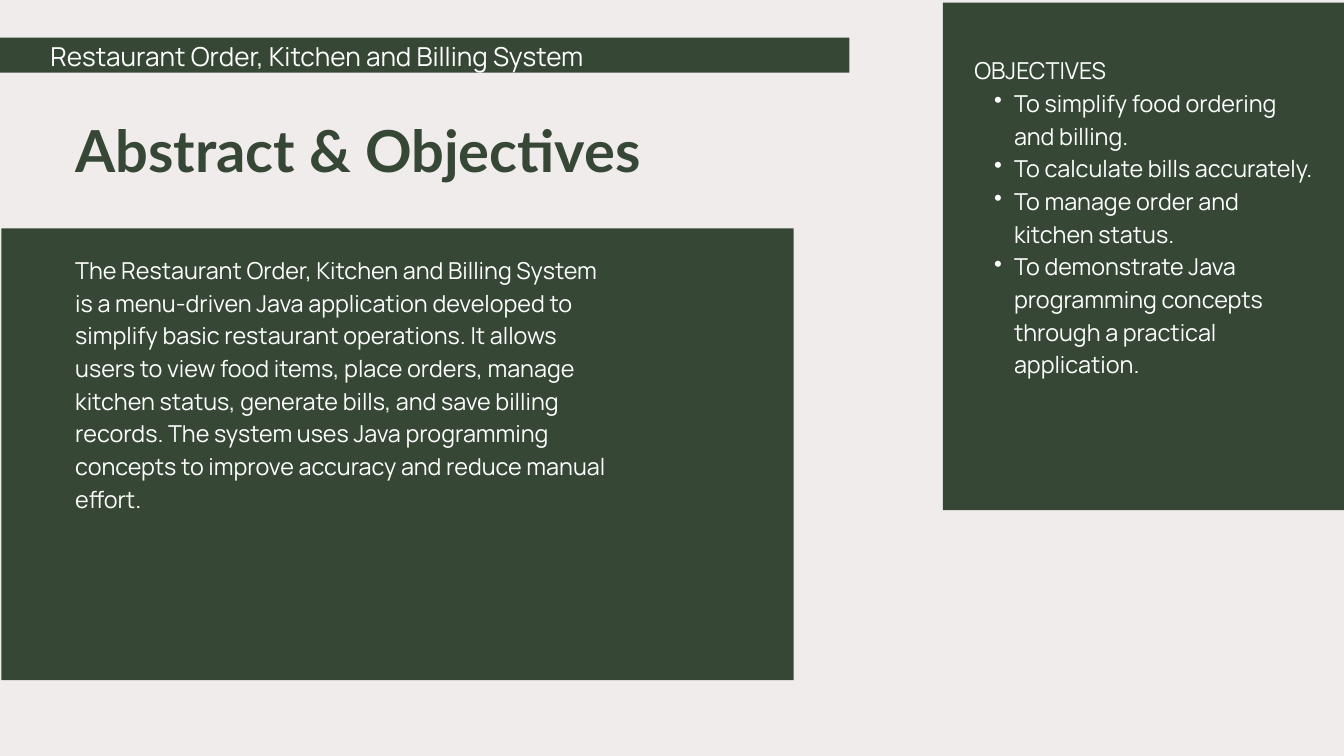
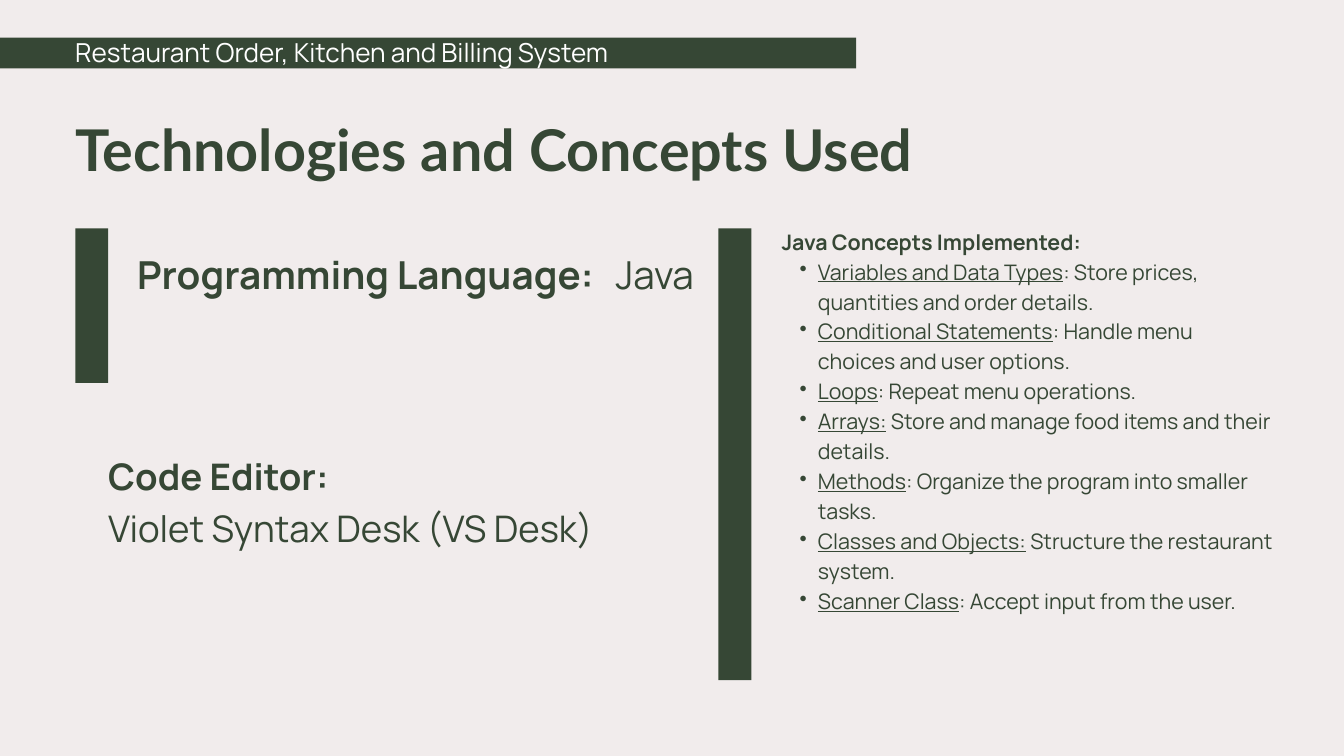
from lxml import etree
from pptx import Presentation
from pptx.dml.color import RGBColor
from pptx.enum.shapes import MSO_SHAPE
from pptx.oxml.ns import qn
from pptx.util import Inches, Pt

RECTANGLE = MSO_SHAPE.RECTANGLE

COLORS = {"page": "F1ECEC", "green": "364735", "white": "FFFFFF"}
TITLE_FONT, BODY_FONT = "Lato", "Manrope"
LINE_RATIO = 1.4        # line pitch relative to text size
INDENT_RATIO = 0.0236   # bullet indent in inches per point of text size
MARGIN = 1.12
BAND_TOP = 0.56
TITLE_TOP = 1.53
CONTENT_TOP = 3.4
CONTENT_HEIGHT = 6.72
BAR_WIDTH = 0.49

SYSTEM_NAME = "Restaurant Order, Kitchen and Billing System"
ABSTRACT = (
    "The Restaurant Order, Kitchen and Billing System is a menu-driven Java "
    "application developed to simplify basic restaurant operations. It allows "
    "users to view food items, place orders, manage kitchen status, generate "
    "bills, and save billing records. The system uses Java programming concepts "
    "to improve accuracy and reduce manual effort."
)
OBJECTIVES = [
    "To simplify food ordering and billing.",
    "To calculate bills accurately.",
    "To manage order and kitchen status.",
    "To demonstrate Java programming concepts through a practical application.",
]
JAVA_CONCEPTS = [
    ("Variables and Data Types", ": Store prices, quantities and order details."),
    ("Conditional Statements", ": Handle menu choices and user options."),
    ("Loops", ": Repeat menu operations."),
    ("Arrays:", " Store and manage food items and their details."),
    ("Methods", ": Organize the program into smaller tasks."),
    ("Classes and Objects:", " Structure the restaurant system."),
    ("Scanner Class", ": Accept input from the user."),
]


def rgb(name):
    return RGBColor.from_string(COLORS[name])


def add_block(slide, left, top, width, height):
    block = slide.shapes.add_shape(
        RECTANGLE, Inches(left), Inches(top), Inches(width), Inches(height))
    block.shadow.inherit = False
    block.fill.solid()
    block.fill.fore_color.rgb = rgb("green")
    block.line.fill.background()


def make_bullet(paragraph, size):
    paragraph.level = 1
    properties = paragraph._p.get_or_add_pPr()
    indent = Inches(size * INDENT_RATIO)
    properties.set("marL", str(indent))
    properties.set("indent", str(-indent // 2))
    etree.SubElement(properties, qn("a:buChar")).set("char", "•")


def add_tab_stop(paragraph, position):
    stops = etree.SubElement(paragraph._p.get_or_add_pPr(), qn("a:tabLst"))
    stop = etree.SubElement(stops, qn("a:tab"))
    stop.set("pos", str(Inches(position)))
    stop.set("algn", "l")


def add_text(slide, box, lines, size, font=BODY_FONT, color="green",
             bullets_from=None, tab=None):
    """Each line is a list of (text, style) runs; style holds "b" and/or "u"."""
    frame = slide.shapes.add_textbox(*map(Inches, box)).text_frame
    frame.word_wrap = True
    frame.margin_left = frame.margin_right = 0
    frame.margin_top = frame.margin_bottom = 0
    for number, runs in enumerate(lines):
        paragraph = frame.add_paragraph() if number else frame.paragraphs[0]
        if bullets_from is not None and number >= bullets_from:
            make_bullet(paragraph, size)
        if tab:
            add_tab_stop(paragraph, tab)
        paragraph.line_spacing = Pt(round(size * LINE_RATIO, 1))
        for text, style in runs:
            run = paragraph.add_run()
            run.text = text
            run.font.name = font
            run.font.size = Pt(size)
            run.font.color.rgb = rgb(color)
            run.font.bold = "b" in style
            run.font.underline = "u" in style


# Shared slide parts
def add_page(deck):
    slide = deck.slides.add_slide(deck.slide_layouts[6])
    slide.background.fill.solid()
    slide.background.fill.fore_color.rgb = rgb("page")
    return slide


def add_band(slide, left, width, height, name_left, name_top):
    add_block(slide, left, BAND_TOP, width, height)
    add_text(slide, (name_left, name_top, 10.7, 0.56),
             [[(SYSTEM_NAME, "")]], 28, color="white")


def add_title(slide, title, size):
    add_text(slide, (MARGIN, TITLE_TOP, 13.37, 1.18),
             [[(title, "b")]], size, font=TITLE_FONT)


# Abstract slide regions
def add_abstract(slide, left, top, width, height):
    add_block(slide, left, top, width, height)
    add_text(slide, (left + 1.1, top + 0.34, 8.03, 4.32),
             [[(ABSTRACT, "")]], 25, color="white")


def add_objectives(slide, left, top, width, height):
    add_block(slide, left, top, width, height)
    lines = [[(text, "")] for text in ["OBJECTIVES", *OBJECTIVES]]
    add_text(slide, (left + 0.47, top + 0.73, 5.07, 5.75),
             lines, 25, color="white", bullets_from=1)


# Technologies slide regions
def add_language(slide, left, top, height):
    add_block(slide, left, top, BAR_WIDTH, height)
    add_text(slide, (left + 0.92, top + 0.22, 8.41, 1.6),
             [[("Programming Language:", "b"), ("\tJava", "")]], 41.3, tab=7.12)


def add_editor(slide, left, top, width, height):
    add_text(slide, (left, top, width, height),
             [[("Code Editor:", "b")], [("Violet Syntax Desk (VS Desk)", "")]], 39.2)


def add_concepts(slide, left, top, height):
    add_block(slide, left, top, BAR_WIDTH, height)
    lines = [[("Java Concepts Implemented:", "b")]]
    lines += [[(concept, "u"), (use, "")] for concept, use in JAVA_CONCEPTS]
    add_text(slide, (left + 0.94, top - 0.06, 7.31, 6.12),
             lines, 22.9, bullets_from=1)


def build_abstract_slide(deck):
    slide = add_page(deck)
    add_band(slide, -0.06, 12.7, 0.52, name_left=0.75, name_top=0.53)
    add_title(slide, "Abstract & Objectives", 62)
    add_abstract(slide, 0.02, CONTENT_TOP, 11.79, CONTENT_HEIGHT)
    add_objectives(slide, 14.03, 0.04, 6.4, 7.55)


def build_technologies_slide(deck):
    slide = add_page(deck)
    add_band(slide, -1.4, 14.14, 0.46, name_left=MARGIN, name_top=0.47)
    add_title(slide, "Technologies and Concepts Used", 61.6)
    add_language(slide, MARGIN, CONTENT_TOP, 2.3)
    add_editor(slide, MARGIN + BAR_WIDTH, 6.65, 8.11, 1.53)
    add_concepts(slide, 10.69, CONTENT_TOP, CONTENT_HEIGHT)


def main():
    deck = Presentation()
    deck.slide_width, deck.slide_height = Inches(20), Inches(11.25)
    build_abstract_slide(deck)
    build_technologies_slide(deck)
    deck.save("out.pptx")


if __name__ == "__main__":
    main()
